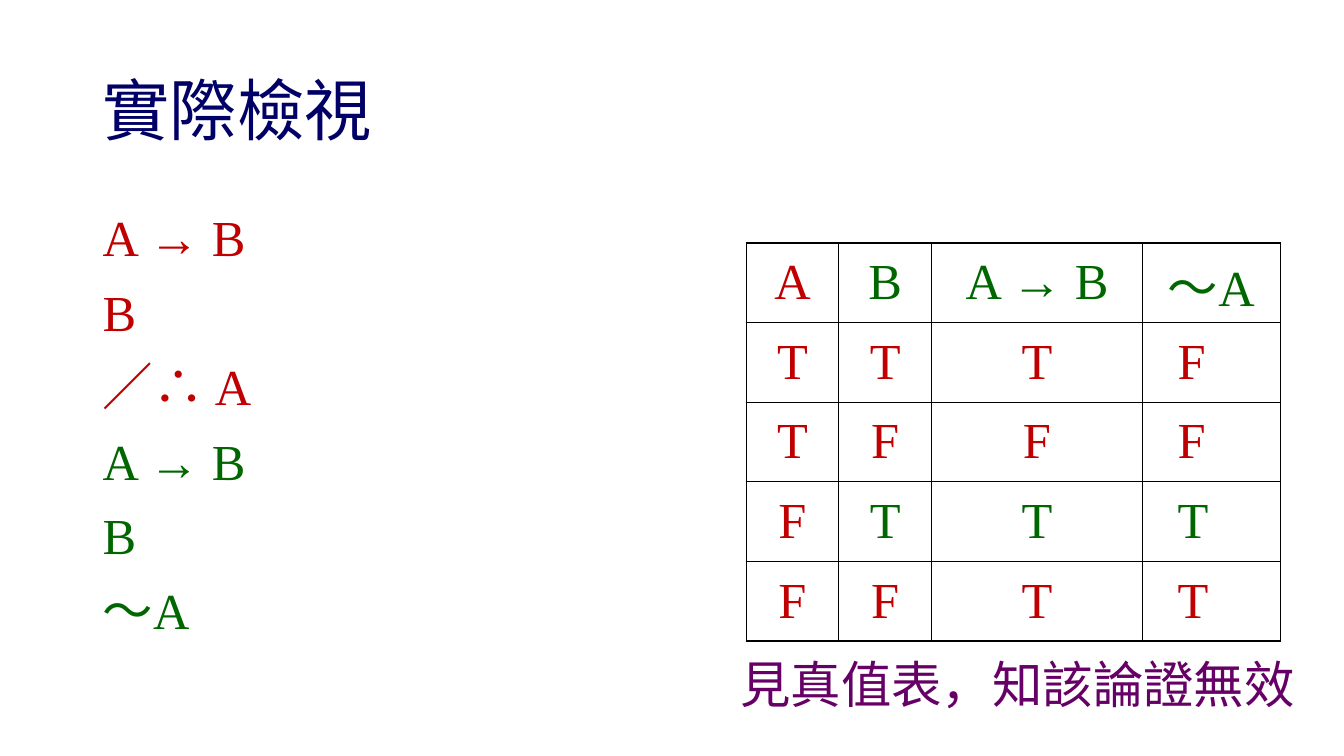
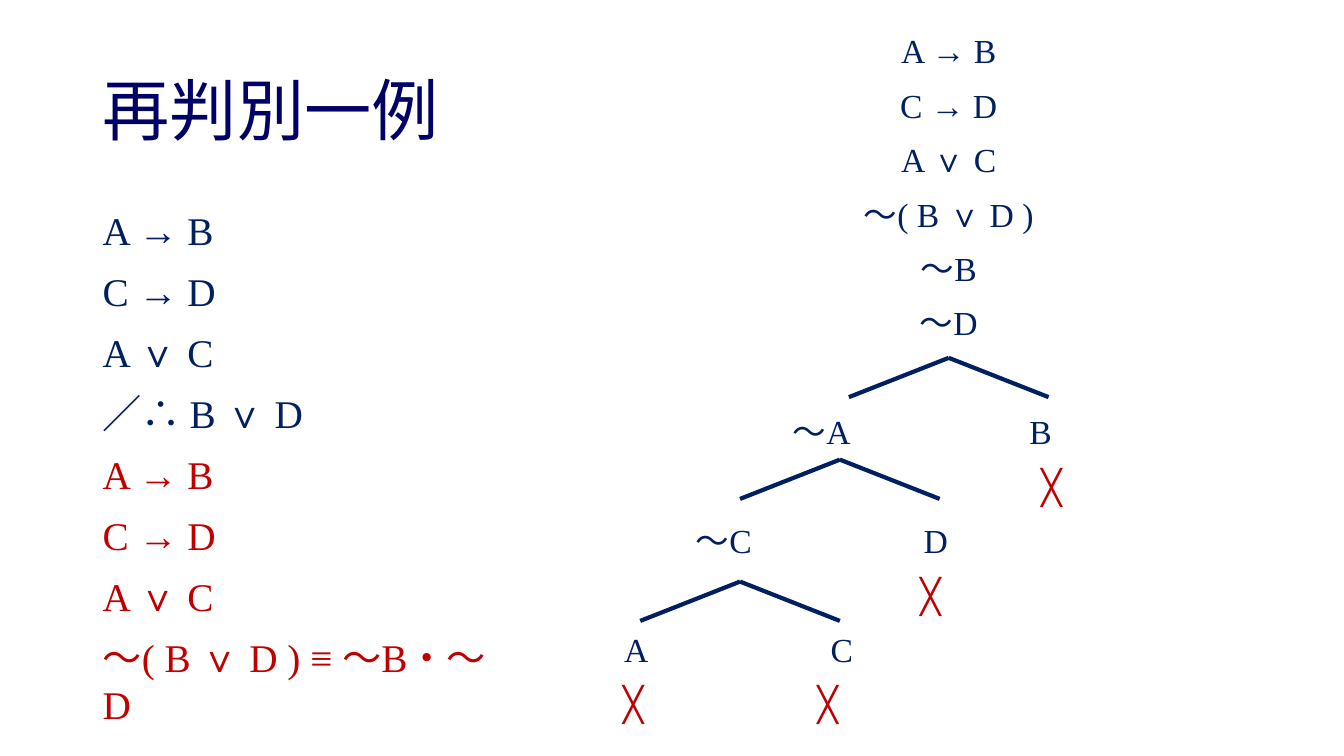
"""Build two slides that test arguments with a truth table and a truth tree."""
from dataclasses import dataclass

from lxml import etree
from pptx import Presentation
from pptx import util as u
from pptx.dml import color
from pptx.enum import shapes, text
from pptx.oxml import ns


@dataclass(frozen=True)
class Theme:
    title_font: str = "Calibri"
    body_font: str = "Times New Roman"
    title: str = "000066"
    ink: str = "002060"
    red: str = "C00000"
    green: str = "006600"
    purple: str = "660066"
    border: str = "000000"
    title_size: int = 48
    large: int = 36
    medium: int = 28
    small: int = 24
    space_before: int = 10
    line_ratio: float = 1.2


THEME = Theme()
LEFT, CENTER, RIGHT = text.PP_ALIGN.LEFT, text.PP_ALIGN.CENTER, text.PP_ALIGN.RIGHT

TABLE_TITLE = "實際檢視"
TABLE_PROOF = [
    ("A → B", THEME.red, LEFT),
    ("B", THEME.red, LEFT),
    ("／∴ A", THEME.red, LEFT),
    ("A → B", THEME.green, LEFT),
    ("B", THEME.green, LEFT),
    ("～A", THEME.green, LEFT),
    ("見真值表，知該論證無效", THEME.purple, RIGHT),
]
TRUTH_ROWS = [
    ("A", "B", "A → B", "～A"),
    ("T", "T", "T", "F"),
    ("T", "F", "F", "F"),
    ("F", "T", "T", "T"),
    ("F", "F", "T", "T"),
]
GREEN_CELLS = {(0, 1), (0, 2), (0, 3), (3, 1), (3, 2), (3, 3)}
COLUMN_WIDTHS = (0.92, 0.92, 2.09, 1.37)
ROW_HEIGHT = 0.79

TREE_TITLE = "再判別一例"
TREE_PROOF = [
    ("A → B", THEME.ink, LEFT),
    ("C → D", THEME.ink, LEFT),
    ("A ∨ C", THEME.ink, LEFT),
    ("／∴ B ∨ D", THEME.ink, LEFT),
    ("A → B", THEME.red, LEFT),
    ("C → D", THEME.red, LEFT),
    ("A ∨ C", THEME.red, LEFT),
    ("～( B ∨ D ) ≡ ～B・～D", THEME.red, LEFT),
]
TRUNK = ["A → B", "C → D", "A ∨ C", "～( B ∨ D )", "～B", "～D"]
LEAVES = [
    ("～A", 8.15, 7), ("B", 10.32, 7),
    ("～C", 7.18, 9), ("D", 9.28, 9),
    ("A", 6.31, 11), ("C", 8.35, 11),
]
CLOSED = [(10.43, 8), (9.23, 10), (6.28, 12), (8.21, 12)]
FORKS = [(9.41, 3.55), (8.33, 4.56), (7.34, 5.77)]
TRUNK_X, TREE_TOP, TREE_STEP = 9.41, 0.3, 0.54
NODE_WIDTH, NODE_HEIGHT = 2, 0.4
FORK_REACH, FORK_DROP = 0.99, 0.39


def assign(target, **values):
    for name, value in values.items():
        setattr(target, name, value)


def write(paragraph, words, size, ink, align=LEFT, font=THEME.body_font, bold=False):
    run = paragraph.add_run()
    run.text = words
    paragraph.alignment = align
    assign(run.font, name=font, size=u.Pt(size), bold=bold)
    run.font.color.rgb = color.RGBColor.from_string(ink)


def add_frame(slide, left, top, width, height, **values):
    box = slide.shapes.add_textbox(*map(u.Inches, (left, top, width, height)))
    assign(box.text_frame, word_wrap=True, **values)
    return box.text_frame


def add_title(slide, words, width):
    frame = add_frame(slide, 0.92, 0.4, width, 1.45, vertical_anchor=text.MSO_ANCHOR.MIDDLE)
    paragraph = frame.paragraphs[0]
    paragraph.line_spacing = 0.9
    write(paragraph, words, THEME.title_size, THEME.title, font=THEME.title_font)


def add_proof(slide, lines, size, width, height):
    frame = add_frame(slide, 0.92, 2, width, height)
    for index, (words, ink, align) in enumerate(lines):
        paragraph = frame.add_paragraph() if index else frame.paragraphs[0]
        paragraph.space_before = u.Pt(THEME.space_before if index else 0)
        paragraph.line_spacing = u.Pt(size * THEME.line_ratio)
        write(paragraph, words, size, ink, align)


def add_borders(cell):
    properties = cell._tc.get_or_add_tcPr()
    for position, side in enumerate(("lnL", "lnR", "lnT", "lnB")):
        line = etree.Element(ns.qn(f"a:{side}"), w=str(u.Pt(1)))
        fill = etree.SubElement(line, ns.qn("a:solidFill"))
        etree.SubElement(fill, ns.qn("a:srgbClr"), val=THEME.border)
        properties.insert(position, line)


def add_truth_table(slide):
    count = len(TRUTH_ROWS)
    frame = slide.shapes.add_table(
        count, len(COLUMN_WIDTHS), u.Inches(7.4), u.Inches(2.41),
        u.Inches(sum(COLUMN_WIDTHS)), u.Inches(ROW_HEIGHT * count))
    table = frame.table
    assign(table, first_row=False, horz_banding=False)
    for column, width in zip(table.columns, COLUMN_WIDTHS):
        column.width = u.Inches(width)
    for row_index, values in enumerate(TRUTH_ROWS):
        table.rows[row_index].height = u.Inches(ROW_HEIGHT)
        for column_index, value in enumerate(values):
            cell = table.cell(row_index, column_index)
            cell.fill.background()
            cell.vertical_anchor = text.MSO_ANCHOR.MIDDLE
            indented = row_index > 0 and column_index == len(values) - 1
            if indented:
                cell.margin_left = u.Inches(0.35)
            ink = THEME.green if (row_index, column_index) in GREEN_CELLS else THEME.red
            write(cell.text_frame.paragraphs[0], value, THEME.large, ink,
                  LEFT if indented else CENTER)
            add_borders(cell)


def add_node(slide, words, center, row, ink=THEME.ink, **values):
    frame = add_frame(slide, center - NODE_WIDTH / 2, TREE_TOP + TREE_STEP * row,
                      NODE_WIDTH, NODE_HEIGHT, margin_top=0, margin_bottom=0)
    paragraph = frame.paragraphs[0]
    paragraph.line_spacing = u.Pt(THEME.small * THEME.line_ratio)
    write(paragraph, words, THEME.small, ink, CENTER, **values)


def add_fork(slide, left, top):
    group = slide.shapes.add_group_shape()
    for reach in (-FORK_REACH, FORK_REACH):
        ends = (left, top, left + reach, top + FORK_DROP)
        branch = group.shapes.add_connector(
            shapes.MSO_CONNECTOR.STRAIGHT, *map(u.Inches, ends))
        branch.line.width = u.Pt(3)
        branch.line.color.rgb = color.RGBColor.from_string(THEME.ink)
        etree.SubElement(branch._element.spPr, ns.qn("a:effectLst"))


def add_tree(slide):
    for row, words in enumerate(TRUNK):
        add_node(slide, words, TRUNK_X, row)
    for words, center, row in LEAVES:
        add_node(slide, words, center, row)
    for center, row in CLOSED:
        add_node(slide, "╳", center, row, THEME.red, font=THEME.title_font, bold=True)
    for left, top in FORKS:
        add_fork(slide, left, top)


def main():
    presentation = Presentation()
    assign(presentation, slide_width=u.Inches(13.33), slide_height=u.Inches(7.5))
    blank = presentation.slide_layouts[6]

    table_slide = presentation.slides.add_slide(blank)
    add_title(table_slide, TABLE_TITLE, 11.5)
    add_proof(table_slide, TABLE_PROOF, THEME.large, 12.02, 5.28)
    add_truth_table(table_slide)

    tree_slide = presentation.slides.add_slide(blank)
    add_title(tree_slide, TREE_TITLE, 3.87)
    add_proof(tree_slide, TREE_PROOF, THEME.medium, 4.2, 5.1)
    add_tree(tree_slide)

    presentation.save("out.pptx")


if __name__ == "__main__":
    main()
